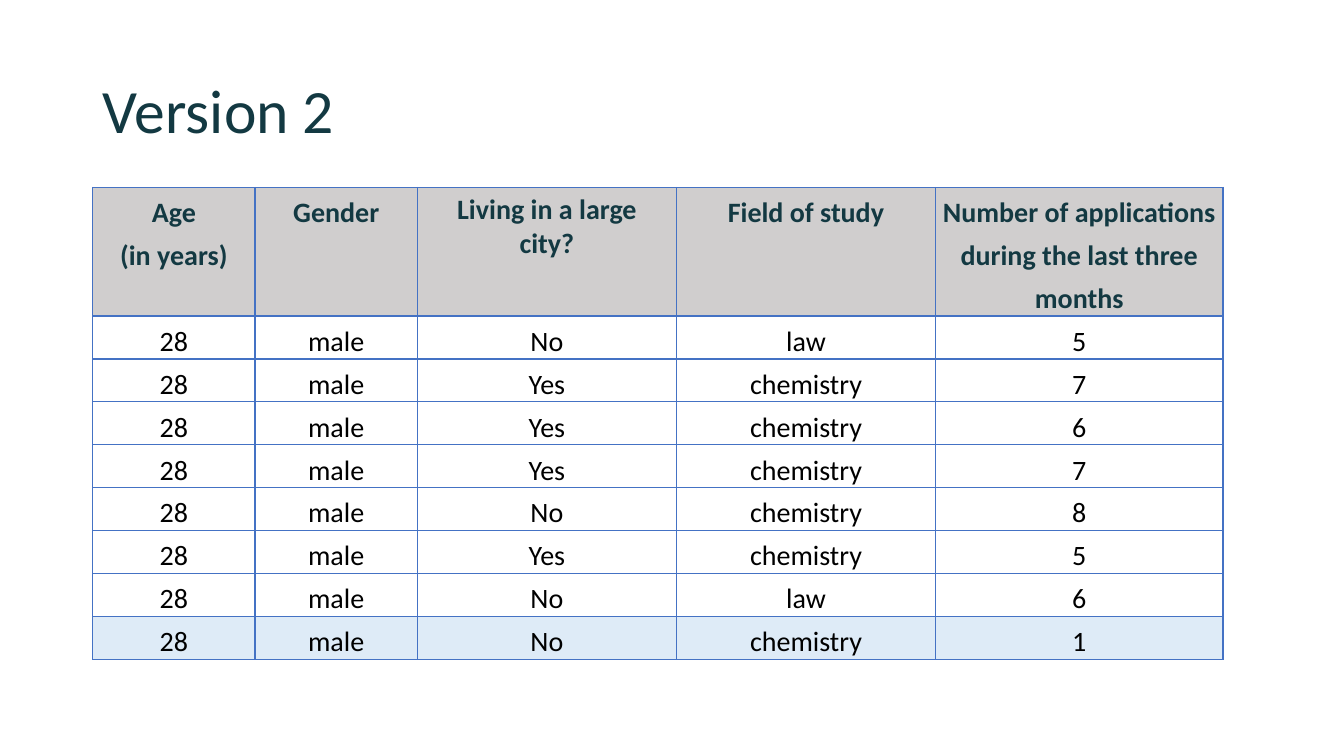
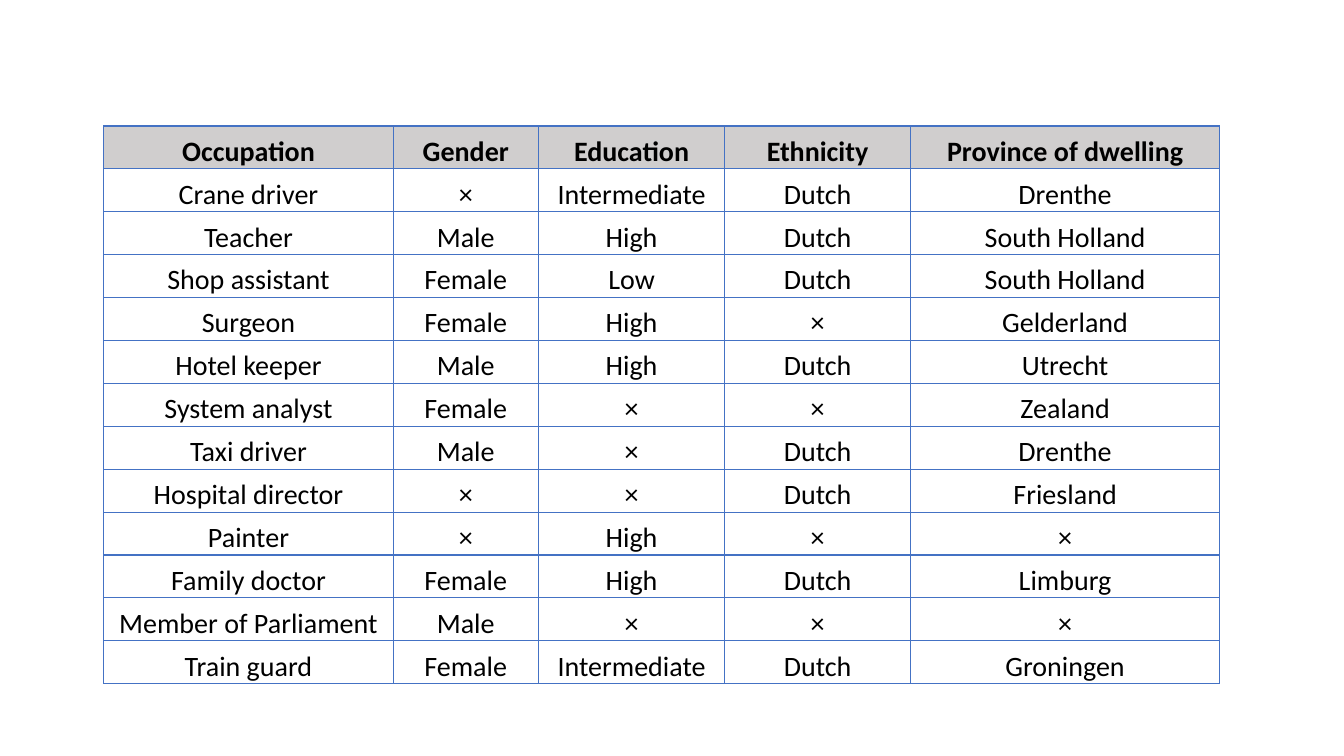
"""Builds two slides of survey tables that share one table style."""
from lxml import etree
from pptx import Presentation
from pptx.dml.color import RGBColor
from pptx.enum import text
from pptx.oxml import ns
from pptx.util import Inches, Pt

FONT = "Calibri"
TEAL = RGBColor(0x13, 0x39, 0x42)
BLACK = RGBColor(0x00, 0x00, 0x00)
BORDER = RGBColor(0x44, 0x72, 0xC4)
HEADER_GREY = RGBColor(0xD0, 0xCE, 0xCE)
HIGHLIGHT = RGBColor(0xDE, 0xEB, 0xF7)
ROW_HEIGHT = 0.42
LAYOUT_TITLE_ONLY, LAYOUT_BLANK = 5, 6

SLIDES = [
    {
        "title": "Version 2",
        "origin": (0.92, 1.86),
        "columns": [1.61, 1.61, 2.57, 2.57, 2.85],
        "header_lines": 3,
        "header_color": TEAL,
        "plain_cells": {(0, 2)},
        "row_fills": {0: HEADER_GREY, 8: HIGHLIGHT},
        "rows": [
            ("Age\n(in years)", "Gender", "Living in a large city?", "Field of study",
             "Number of applications during the last three months"),
            ("28", "male", "No", "law", "5"),
            ("28", "male", "Yes", "chemistry", "7"),
            ("28", "male", "Yes", "chemistry", "6"),
            ("28", "male", "Yes", "chemistry", "7"),
            ("28", "male", "No", "chemistry", "8"),
            ("28", "male", "Yes", "chemistry", "5"),
            ("28", "male", "No", "law", "6"),
            ("28", "male", "No", "chemistry", "1"),
        ],
    },
    {
        "title": None,
        "origin": (1.03, 1.25),
        "columns": [2.87, 1.44, 1.85, 1.84, 3.07],
        "header_lines": 1,
        "header_color": BLACK,
        "plain_cells": set(),
        "row_fills": {0: HEADER_GREY},
        "rows": [
            ("Occupation", "Gender", "Education", "Ethnicity", "Province of dwelling"),
            ("Crane driver", "×", "Intermediate", "Dutch", "Drenthe"),
            ("Teacher", "Male", "High", "Dutch", "South Holland"),
            ("Shop assistant", "Female", "Low", "Dutch", "South Holland"),
            ("Surgeon", "Female", "High", "×", "Gelderland"),
            ("Hotel keeper", "Male", "High", "Dutch", "Utrecht"),
            ("System analyst", "Female", "×", "×", "Zealand"),
            ("Taxi driver", "Male", "×", "Dutch", "Drenthe"),
            ("Hospital director", "×", "×", "Dutch", "Friesland"),
            ("Painter", "×", "High", "×", "×"),
            ("Family doctor", "Female", "High", "Dutch", "Limburg"),
            ("Member of Parliament", "Male", "×", "×", "×"),
            ("Train guard", "Female", "Intermediate", "Dutch", "Groningen"),
        ],
    },
]


def style_para(para, size, color, bold, align):
    para.alignment = align
    for span in para.runs:
        span.font.name = FONT
        span.font.size = Pt(size)
        span.font.bold = bold
        span.font.color.rgb = color


def add_title(page, wording):
    title = page.shapes.title
    title.left, title.top = Inches(0.92), Inches(0.4)
    title.width, title.height = Inches(11.5), Inches(1.45)
    frame = title.text_frame
    frame.text = wording
    frame.vertical_anchor = text.MSO_ANCHOR.MIDDLE
    para = frame.paragraphs[0]
    para.line_spacing = 0.9
    style_para(para, 44, TEAL, False, text.PP_ALIGN.LEFT)


def add_borders(cell):
    properties = cell._tc.get_or_add_tcPr()
    for side in ("a:lnL", "a:lnR", "a:lnT", "a:lnB"):
        line = etree.SubElement(properties, ns.qn(side), w=str(Pt(1)))
        fill = etree.SubElement(line, ns.qn("a:solidFill"))
        etree.SubElement(fill, ns.qn("a:srgbClr"), val=str(BORDER))


def fill_cell(cell, wording, color, bold, fill, plain):
    para = cell.text_frame.paragraphs[0]
    para.text = wording
    style_para(para, 20, color, bold, text.PP_ALIGN.CENTER)
    if not plain:
        cell.margin_left = cell.margin_right = Inches(0.05)
        cell.margin_top = cell.margin_bottom = Inches(0)
        para.line_spacing = 1.25
        para.space_after = Pt(6)
    add_borders(cell)
    if fill is None:
        cell.fill.background()
    else:
        cell.fill.solid()
        cell.fill.fore_color.rgb = fill


def add_data_table(page, content):
    rows, columns = content["rows"], content["columns"]
    heights = [ROW_HEIGHT * content["header_lines"]] + [ROW_HEIGHT] * (len(rows) - 1)
    left, top = content["origin"]
    table = page.shapes.add_table(
        len(rows), len(columns), Inches(left), Inches(top),
        Inches(sum(columns)), Inches(sum(heights))).table
    table.horz_banding = False
    for column, width in zip(table.columns, columns):
        column.width = Inches(width)
    for r, (row, height) in enumerate(zip(rows, heights)):
        table.rows[r].height = Inches(height)
        color = content["header_color"] if r == 0 else BLACK
        for c, wording in enumerate(row):
            fill_cell(table.cell(r, c), wording, color, r == 0,
                      content["row_fills"].get(r), (r, c) in content["plain_cells"])


def main():
    deck = Presentation()
    deck.slide_width, deck.slide_height = Inches(13.33), Inches(7.5)
    for content in SLIDES:
        layout = LAYOUT_TITLE_ONLY if content["title"] else LAYOUT_BLANK
        page = deck.slides.add_slide(deck.slide_layouts[layout])
        if content["title"]:
            add_title(page, content["title"])
        add_data_table(page, content)
    deck.save("out.pptx")


if __name__ == "__main__":
    main()
